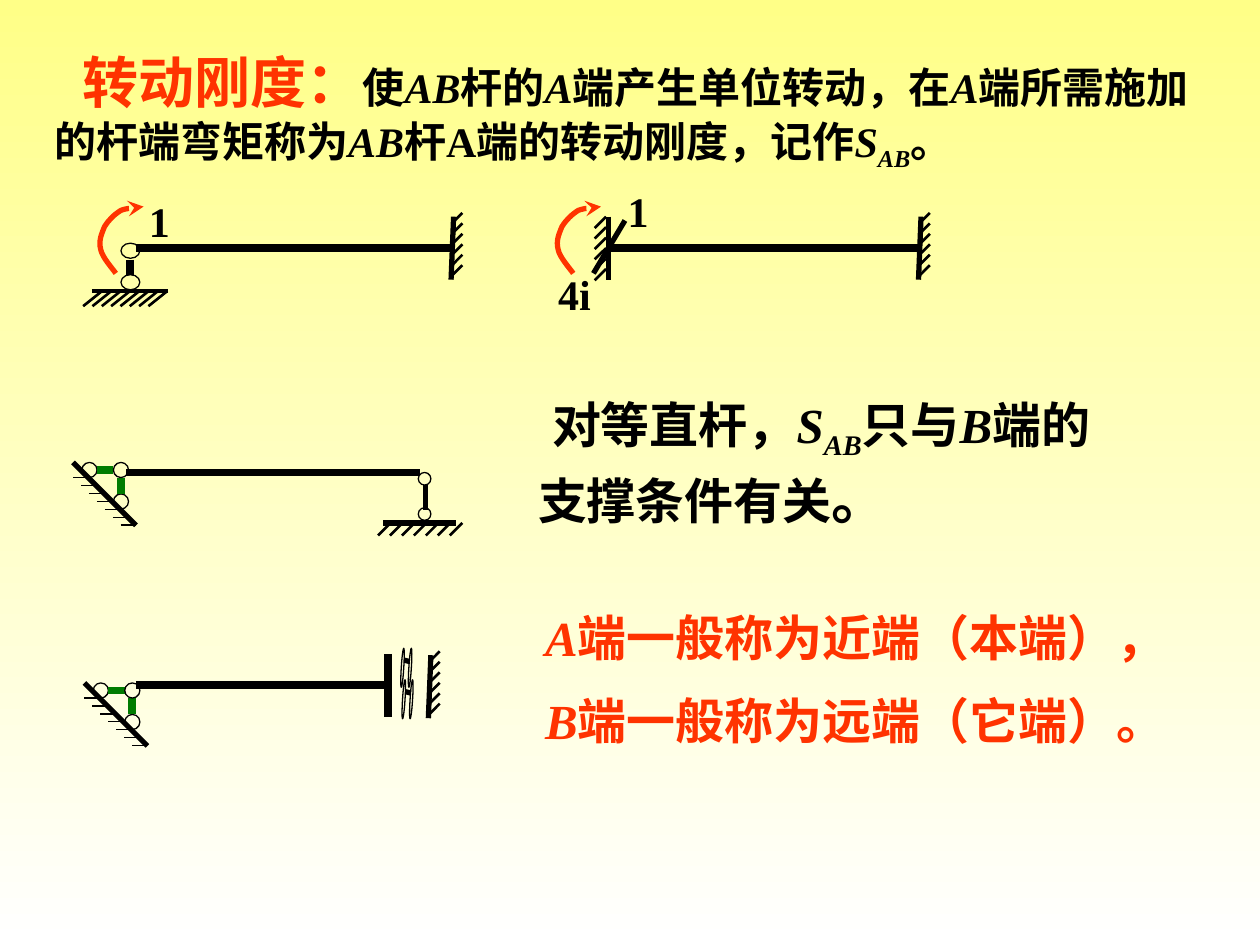
from lxml.etree import SubElement
from pptx import Presentation
from pptx.dml.color import RGBColor
from pptx.enum.shapes import MSO_CONNECTOR as Connector, MSO_SHAPE as Preset
from pptx.enum.text import MSO_ANCHOR as Anchor, MSO_AUTO_SIZE as AutoSize, PP_ALIGN as Align
from pptx.oxml.ns import qn
from pptx.util import Cm, Pt

COLORS = {"black": "000000", "red": "FF3300", "green": "007C00",
          "sky": "FFFF87", "white": "FFFFFF"}
FONT = "Times New Roman"
CM_PER_INCH = 2.54


def length(inches):
    return Cm(inches * CM_PER_INCH)


def rgb(name):
    return RGBColor.from_string(COLORS[name])


def write(paragraph, text, size=24, color="black", italic=False, subscript=False):
    run = paragraph.add_run()
    run.text = text
    font = run.font
    font.name, font.size, font.bold, font.italic = FONT, Pt(size), True, italic
    font.color.rgb = rgb(color)
    if subscript:
        font._element.set("baseline", "-25000")


def bezier(start, *segments, steps=8):
    """Points along joined cubic curves."""
    points = [start]
    for first, second, end in segments:
        origin = points[-1]
        for step in range(1, steps + 1):
            t = step / steps
            weights = ((1 - t) ** 3, 3 * t * (1 - t) ** 2, 3 * t * t * (1 - t), t ** 3)
            corners = (origin, first, second, end)
            points.append(tuple(sum(w * c[axis] for w, c in zip(weights, corners))
                                for axis in (0, 1)))
    return points


class Sketch:
    def __init__(self, slide):
        self.slide = slide
        self.shapes = slide.shapes

    def background(self, top, bottom):
        fill = self.slide.background.fill
        fill.gradient()
        fill.gradient_angle = 270
        for stop, name, position in zip(fill.gradient_stops, (top, bottom), (0, 1)):
            stop.color.rgb, stop.position = rgb(name), position

    def group(self):
        self.shapes = self.slide.shapes.add_group_shape().shapes

    def placeholder(self, shape, box, paragraphs):
        """Each paragraph is (indent in points, line spacing, space before, runs)."""
        shape.left, shape.top, shape.width, shape.height = map(length, box)
        frame = shape.text_frame
        frame.word_wrap, frame.auto_size = True, AutoSize.NONE
        frame.vertical_anchor = Anchor.TOP
        for index, (indent, spacing, before, runs) in enumerate(paragraphs):
            paragraph = frame.add_paragraph() if index else frame.paragraphs[0]
            properties = paragraph._p.get_or_add_pPr()
            properties.set("marL", "0")
            properties.set("indent", str(Pt(indent)))
            SubElement(properties, qn("a:buNone"))
            paragraph.alignment = Align.LEFT
            paragraph.line_spacing, paragraph.space_before = spacing, Pt(before)
            for text, style in runs:
                write(paragraph, text, **style)

    def label(self, text, left, top, width, height=0.5):
        shape = self.shapes.add_textbox(*map(length, (left, top, width, height)))
        shape.text_frame.word_wrap = False
        paragraph = shape.text_frame.paragraphs[0]
        paragraph.alignment = Align.CENTER
        write(paragraph, text)

    def line(self, x1, y1, x2, y2, width=3.0, color="black"):
        line = self.shapes.add_connector(Connector.STRAIGHT, *map(length, (x1, y1, x2, y2)))
        line.line.color.rgb, line.line.width = rgb(color), Pt(width)
        SubElement(line._element.spPr, qn("a:effectLst"))

    def ellipse(self, left, top, width=0.12, height=0.12, rotation=0):
        shape = self.shapes.add_shape(Preset.OVAL, *map(length, (left, top, width, height)))
        shape.rotation = rotation
        self.outline(shape, "black", 0.75)

    def outline(self, shape, color, width):
        shape.shadow.inherit = False
        shape.fill.background()
        shape.line.color.rgb, shape.line.width = rgb(color), Pt(width)

    def hatch(self, x, y, dx, dy, step_x, step_y, count, width=1.5):
        for index in range(count):
            left, top = x + index * step_x, y + index * step_y
            self.line(left, top, left + dx, top + dy, width)

    def moment(self, x, y):
        """Turning arrow whose tip lies at x, y."""
        curve = bezier((0.34, 0),
                       ((0.28, 0.01), (0.21, 0.01), (0.16, 0.03)),
                       ((0.11, 0.06), (0.06, 0.11), (0.03, 0.16)),
                       ((0.01, 0.21), (-0.02, 0.27), (0, 0.34)),
                       ((0.01, 0.4), (0.1, 0.5), (0.12, 0.53)))
        points = [(length(x + dx), length(y + dy)) for dx, dy in curve]
        builder = self.shapes.build_freeform(*points[0])
        builder.add_line_segments(points[1:], close=False)
        shape = builder.convert_to_shape()
        self.outline(shape, "red", 3)
        SubElement(shape.line._get_or_add_ln(), qn("a:headEnd"), type="stealth")

    def right_wall(self, x, y):
        self.line(x + 0.02, y, x, y + 0.5)
        self.hatch(x + 0.01, y + 0.05, 0.08, -0.08, 0, 0.083, 6)

    def corner_support(self, x, y):
        self.ellipse(x + 0.32, y + 0.25)
        self.ellipse(x + 0.07, y)
        self.line(x + 0.19, y + 0.06, x + 0.32, y + 0.06, 4.5, "green")
        self.line(x + 0.38, y + 0.12, x + 0.38, y + 0.25, 4.5, "green")
        self.line(x, y, x + 0.5, y + 0.5)
        self.hatch(x, y + 0.12, 0.12, 0, 0.063, 0.063, 7, 0.75)
        self.ellipse(x + 0.32, y)


def main():
    presentation = Presentation()
    presentation.slide_width, presentation.slide_height = Cm(25.4), Cm(19.05)
    slide = presentation.slides.add_slide(presentation.slide_layouts[3])
    title, near_far, condition = slide.placeholders
    sketch = Sketch(slide)
    sketch.background("sky", "white")

    # Definition and remarks
    plain, italic = {}, {"italic": True}
    sub = {"italic": True, "subscript": True}
    sketch.placeholder(title, (0.33, 0.33, 9.33, 1.03), [(16, 1.0, 0, [
        ("转动刚度：", {"size": 32, "color": "red"}), ("使", plain), ("AB", italic),
        ("杆的", plain), ("A", italic), ("端产生单位转动，在", plain), ("A", italic),
        ("端所需施加的杆端弯矩称为", plain), ("AB", italic),
        ("杆A端的转动刚度，记作", plain), ("S", italic), ("AB", sub), ("。", plain)])])

    red = {"size": 28, "color": "red"}
    sketch.placeholder(near_far, (4.13, 4.77, 5.59, 1.27), [
        (7, 1.0, before, [(end, red | italic), (text, red)])
        for before, end, text in ((0, "A", "端一般称为近端（本端），"),
                                  (14, "B", "端一般称为远端（它端）。"))])

    large = {"size": 28}
    sketch.placeholder(condition, (4.17, 3.08, 5.5, 1.17), [
        (8, 1.0, 0, [("对等直杆，", large), ("S", large | italic), ("AB", large | sub),
                     ("只与", large), ("B", large | italic), ("端的", large)]),
        (0, 0.5, 18, [("支撑条件有关", large), ("。", {"size": 32})])])

    # Beam with hinged near end and fixed far end
    sketch.group()
    sketch.right_wall(3.58, 1.72)
    sketch.line(1.08, 1.97, 3.58, 1.97, 4.5)
    for top in (1.93, 2.18):
        sketch.ellipse(0.96, top, 0.15)
    sketch.line(1.03, 2.06, 1.03, 2.18, 4.5)
    sketch.line(0.73, 2.31, 1.33, 2.31, 2.25)
    sketch.hatch(0.66, 2.43, 0.15, -0.12, 0.074, 0, 8)
    sketch.moment(0.8, 1.64)
    sketch.label("1", 1.08, 1.5, 0.37)

    # Beam fixed at both ends with unit rotation
    sketch.group()
    sketch.line(4.83, 1.72, 4.83, 2.22)
    sketch.hatch(4.81, 1.72, -0.09, 0.09, 0, 0.083, 6)
    sketch.right_wall(7.29, 1.72)
    sketch.line(4.81, 1.97, 7.31, 1.97, 4.5)
    sketch.line(4.96, 1.75, 4.71, 2.17)
    sketch.label("1", 4.88, 1.42, 0.37)
    sketch.moment(4.43, 1.64)
    sketch.label("4i", 4.33, 2.08, 0.46)

    # Beam with roller far end
    sketch.group()
    sketch.line(1, 3.75, 3.33, 3.75, 4.5)
    for top in (3.75, 4.03):
        sketch.ellipse(3.32, top, 0.1, 0.1)
    sketch.line(3.38, 3.85, 3.38, 4.05)
    sketch.line(3.04, 4.15, 3.62, 4.15)
    sketch.hatch(3, 4.25, 0.1, -0.1, 0.095, 0, 7)
    sketch.corner_support(0.58, 3.67)

    # Beam with sliding far end
    sketch.group()
    sketch.right_wall(3.4, 5.2)
    sketch.line(1.08, 5.44, 3.08, 5.44, 4.5)
    for x, y in ((3.04, 5.29), (3.05, 5.54)):
        for left in (x, x + 0.06):
            sketch.ellipse(left, y, 0.31, 0.02, 273.6)
        sketch.line(x + 0.17, y - 0.05, x + 0.21, y - 0.04)
    sketch.line(3.08, 5.19, 3.08, 5.69, 4.5)
    sketch.corner_support(0.67, 5.42)

    presentation.save("out.pptx")


if __name__ == "__main__":
    main()
